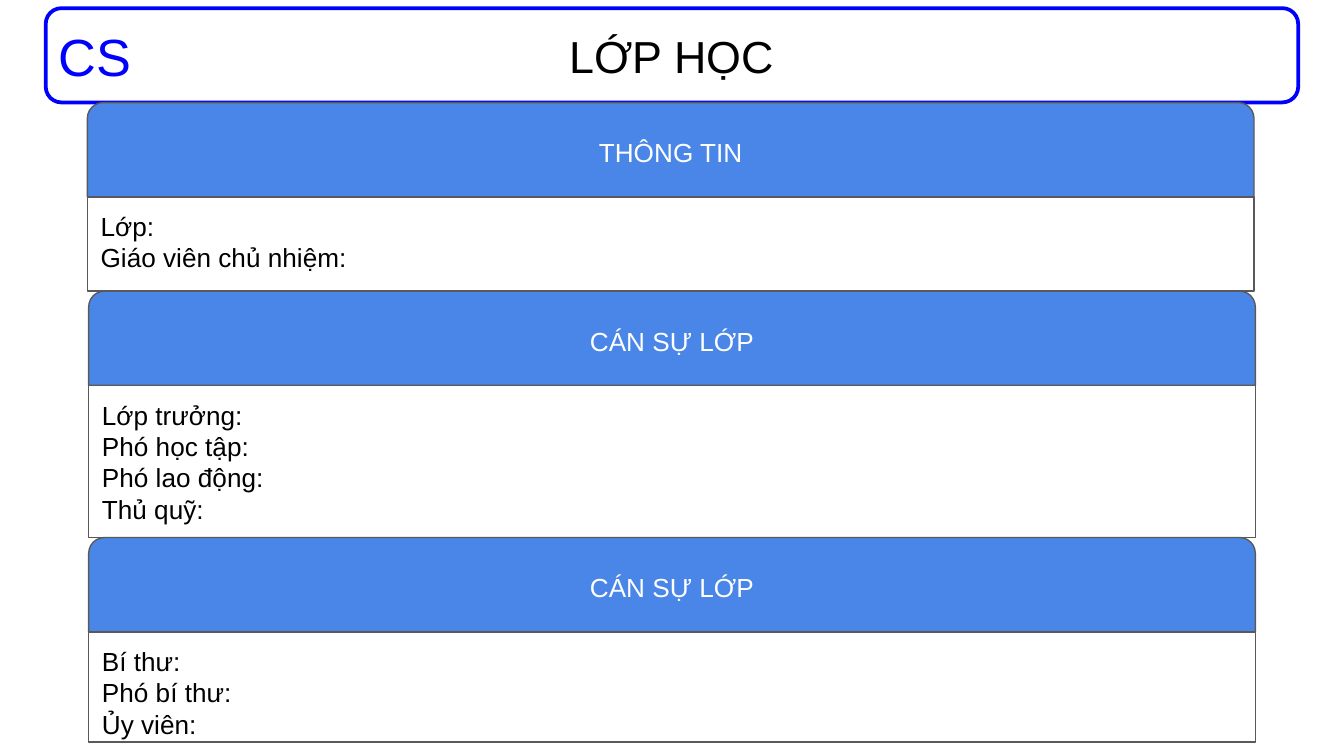
from pptx import Presentation
from pptx.dml.color import RGBColor
from pptx.enum.shapes import MSO_SHAPE as SHAPE
from pptx.enum.text import MSO_ANCHOR as ANCHOR, MSO_AUTO_SIZE as FIT, PP_ALIGN as ALIGN
from pptx.util import Pt

# Content: heading, left edge, height of the list box, lines
TITLE, BADGE = "LỚP HỌC", "CS"
SECTIONS = [
    ("THÔNG TIN", 46.8, 50.5, ["Lớp:", "Giáo viên chủ nhiệm:"]),
    ("CÁN SỰ LỚP", 47.5, 81.5,
     ["Lớp trưởng:", "Phó học tập:", "Phó lao động:", "Thủ quỹ:"]),
    ("CÁN SỰ LỚP", 47.5, 59, ["Bí thư:", "Phó bí thư:", "Ủy viên:"]),
]

# Style
BLUE = RGBColor(0x00, 0x00, 0xFF)
HEADING_BLUE = RGBColor(0x4A, 0x86, 0xE8)
GREY = RGBColor(0x59, 0x59, 0x59)
WHITE = RGBColor(0xFF, 0xFF, 0xFF)
BLACK = RGBColor(0x00, 0x00, 0x00)
FONT = "Arial"
HEAD_H, SECTION_W, SECTION_TOP = 50.5, 625, 55


def write(sp, lines, size=14, color=BLACK, align=ALIGN.LEFT, anchor=ANCHOR.TOP, inset=7.2):
    tf = sp.text_frame
    tf.auto_size = FIT.NONE
    tf.word_wrap = True
    tf.vertical_anchor = anchor
    tf.margin_left = tf.margin_right = Pt(7.2)
    tf.margin_top = tf.margin_bottom = Pt(inset)
    for i, line in enumerate(lines):
        p = tf.add_paragraph() if i else tf.paragraphs[0]
        p.alignment = align
        r = p.add_run()
        r.text = line
        r.font.name, r.font.size = FONT, Pt(size)
        r.font.color.rgb = color


def add_box(s, kind, box, line, weight, fill=None):
    sp = s.shapes.add_shape(kind, *map(Pt, box))
    sp.shadow.inherit = False
    if fill is None:
        sp.fill.background()
    else:
        sp.fill.solid()
        sp.fill.fore_color.rgb = fill
    sp.line.color.rgb = line
    sp.line.width = Pt(weight)
    return sp


prs = Presentation()
prs.slide_width, prs.slide_height = Pt(720), Pt(405)
s = prs.slides.add_slide(prs.slide_layouts[5])

# Title bar
add_box(s, SHAPE.ROUNDED_RECTANGLE, (24.5, 4.4, 671, HEAD_H), BLUE, 2)
badge = s.shapes.add_textbox(Pt(24.5), Pt(9.4), Pt(219.6), Pt(41))
write(badge, [BADGE], size=28, color=BLUE, inset=3.6)
title = s.shapes.title
title.left, title.top, title.width, title.height = map(Pt, (265.7, 4.4, 188, HEAD_H))
write(title, [TITLE], size=24, align=ALIGN.CENTER, anchor=ANCHOR.MIDDLE)

# Stacked sections: heading, then list box
top = SECTION_TOP
for heading, left, list_h, lines in SECTIONS:
    head = add_box(s, SHAPE.ROUND_2_SAME_RECTANGLE, (left, top, SECTION_W, HEAD_H),
                   GREY, 0.75, HEADING_BLUE)
    write(head, [heading], color=WHITE, align=ALIGN.CENTER, anchor=ANCHOR.MIDDLE)
    top += HEAD_H
    body = add_box(s, SHAPE.RECTANGLE, (left, top, SECTION_W, list_h), GREY, 0.75, WHITE)
    write(body, lines)
    top += list_h

prs.save("out.pptx")
